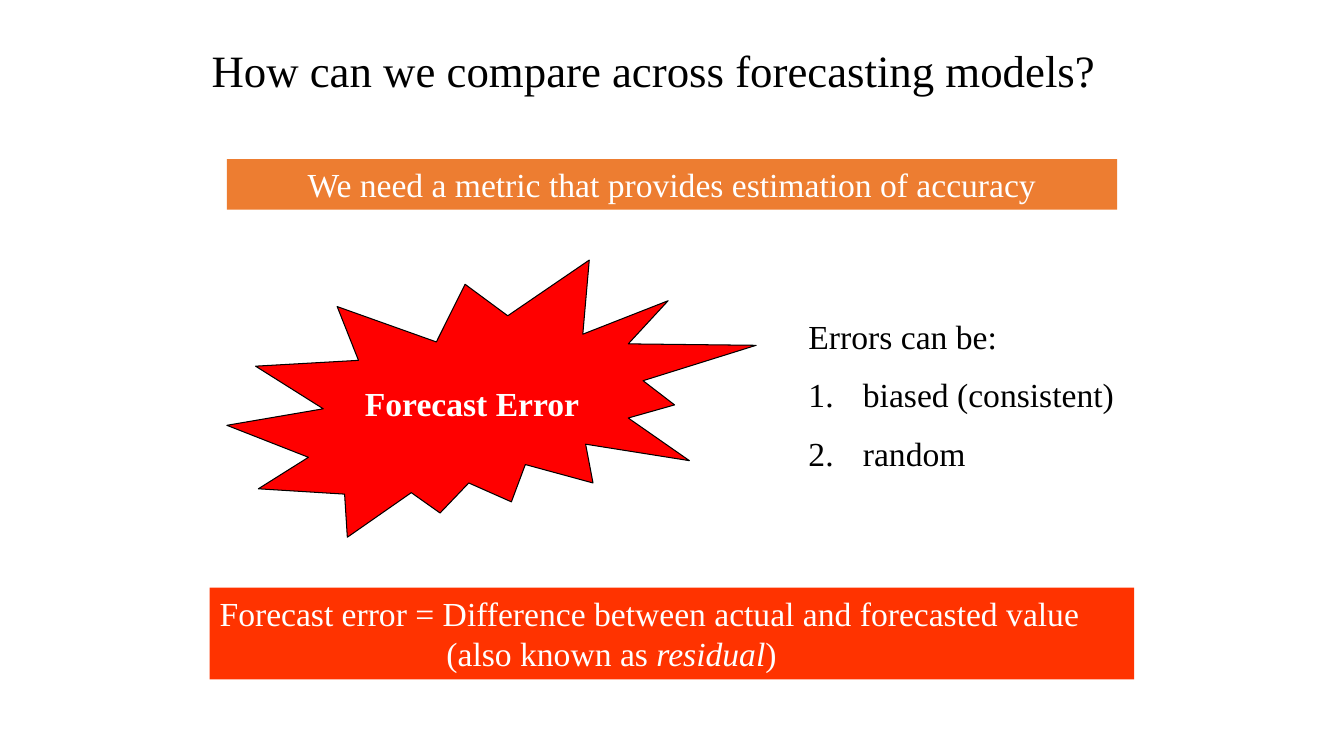
from lxml import etree
from pptx import Presentation
from pptx.dml.color import RGBColor
from pptx.enum.shapes import MSO_SHAPE as SHAPE
from pptx.enum.text import MSO_ANCHOR as ANCHOR, MSO_AUTO_SIZE as FIT, PP_ALIGN as ALIGN
from pptx.oxml.ns import qn
from pptx.util import Inches, Pt

COLORS = {"black": "000000", "white": "FFFFFF", "orange": "ED7D31",
          "red": "FF0000", "vermilion": "FF3300"}


def rgb(name):
    return RGBColor.from_string(COLORS[name])


class Deck:
    font = "Times New Roman"
    size = 24

    def __init__(self):
        self.prs = Presentation()
        self.prs.slide_width, self.prs.slide_height = Inches(13.33), Inches(7.5)
        self.s = self.prs.slides.add_slide(self.prs.slide_layouts[6])

    def paragraph(self, p, runs, color, size=None, align=None, hang=0, numbered=False):
        """Fill p with runs, each a text and a dict of font settings."""
        if align is not None:
            p.alignment = align
        pPr = p._p.get_or_add_pPr()
        if hang:
            pPr.set("marL", str(Inches(hang)))
            pPr.set("indent", str(-Inches(hang)))
        if numbered:
            p.space_before = Pt(13)
            etree.SubElement(pPr, qn("a:buFont"), typeface="+mj-lt")
            etree.SubElement(pPr, qn("a:buAutoNum"), type="arabicPeriod")
        for text, style in runs:
            r = p.add_run()
            r.text = text
            r.font.name, r.font.size = self.font, Pt(size or self.size)
            r.font.color.rgb = rgb(color)
            for key, value in style.items():
                setattr(r.font, key, value)

    def text(self, at, paragraphs, **style):
        """Add a text box; paragraphs holds pairs of runs and numbered."""
        tf = self.s.shapes.add_textbox(*map(Inches, at)).text_frame
        tf.word_wrap, tf.auto_size = True, FIT.SHAPE_TO_FIT_TEXT
        for i, (runs, numbered) in enumerate(paragraphs):
            p = tf.add_paragraph() if i else tf.paragraphs[0]
            self.paragraph(p, runs, "black", numbered=numbered, **style)

    def shape(self, kind, at, fill, runs, line=None, wrap=True, anchor=ANCHOR.TOP, **style):
        sp = self.s.shapes.add_shape(kind, *map(Inches, at))
        sp.shadow.inherit = False
        sp.fill.solid()
        sp.fill.fore_color.rgb = rgb(fill)
        if line:
            sp.line.color.rgb, sp.line.width = rgb(line), Pt(0.75)
        else:
            sp.line.fill.background()
        tf = sp.text_frame
        tf.word_wrap, tf.vertical_anchor = wrap, anchor
        self.paragraph(tf.paragraphs[0], runs, "white", **style)


def main():
    deck = Deck()
    deck.text((2, 0.37, 9.17, 0.63),
              [([("How can we compare across forecasting models?", {})], False)], size=32)
    deck.shape(SHAPE.RECTANGLE, (2.25, 1.58, 8.83, 0.5), "orange",
               [("We need a metric that provides estimation of accuracy", {})],
               align=ALIGN.CENTER)
    deck.shape(SHAPE.EXPLOSION2, (2.25, 2.58, 5.25, 2.75), "red",
               [("Forecast Error", {"bold": True})], line="black", wrap=False,
               anchor=ANCHOR.MIDDLE, align=ALIGN.CENTER)
    deck.shape(SHAPE.RECTANGLE, (2.08, 5.83, 9.17, 0.91), "vermilion",
               [("Forecast error = Difference between actual and forecasted value "
                 "(also known as ", {}), ("residual", {"italic": True}), (")", {})],
               align=ALIGN.LEFT, hang=2.25)
    deck.text((7.92, 3.08, 3.58, 1.72),
              [([("Errors can be:", {})], False),
               ([("biased (consistent)", {})], True),
               ([("random", {})], True)], hang=0.54)
    deck.prs.save("out.pptx")


if __name__ == "__main__":
    main()
